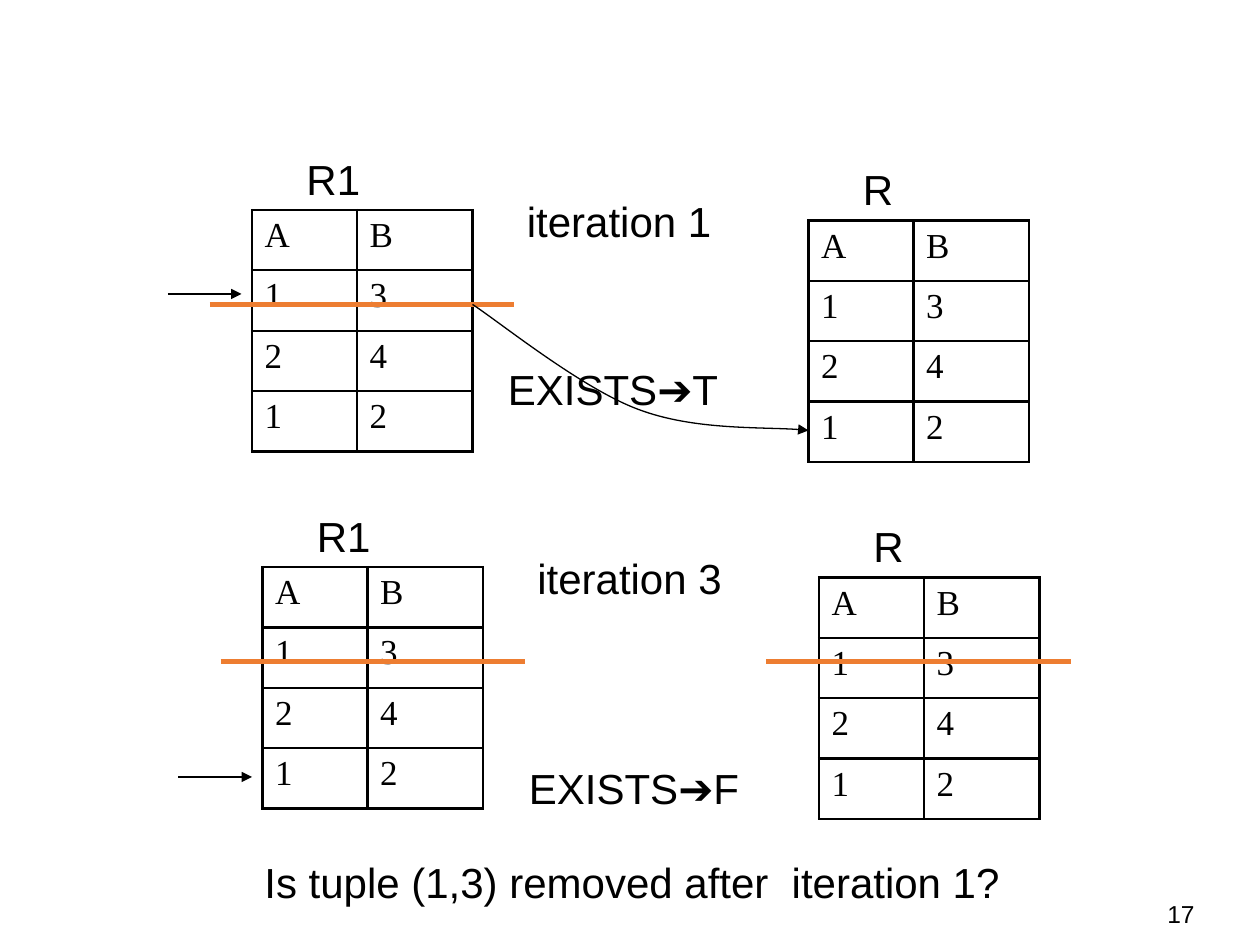
from dataclasses import dataclass
from itertools import product

from lxml.etree import SubElement as Sub
from pptx import Presentation
from pptx.dml.color import RGBColor as Rgb
from pptx.enum.shapes import MSO_CONNECTOR as Conn
from pptx.oxml.ns import qn
from pptx.util import Inches, Pt


@dataclass(frozen=True)
class Theme:
    ink: str = "000000"
    strike: str = "ED7D31"
    sans: str = "Arial"
    serif: str = "Times New Roman"
    label: int = 24
    cell: int = 20
    page: int = 14
    thin: float = 0.75
    edge: float = 1.47
    thick: float = 3


LOOK = Theme()
COLS = (10, 11)
ROW = 5.75
TUPLES = (("A", "B"), ("1", "3"), ("2", "4"), ("1", "2"))


def unit(n):
    """Turn grid units, twelve to the inch, into a length."""
    return Inches(n / 12)


def write(frame, text, size, face):
    run = frame.paragraphs[0].add_run()
    run.text = text
    font = run.font
    font.size, font.name, font.bold = Pt(size), face, False
    font.color.rgb = Rgb.from_string(LOOK.ink)


def label(slide, text, x, y, wide, high=6, size=LOOK.label, wrap=True):
    box = slide.shapes.add_textbox(*map(unit, (x, y, wide, high)))
    box.text_frame.word_wrap = wrap
    write(box.text_frame, text, size, LOOK.sans)


def border(cell):
    props = cell._tc.get_or_add_tcPr()
    for side in ("lnL", "lnR", "lnT", "lnB"):
        line = Sub(props, qn(f"a:{side}"), w=str(Pt(LOOK.edge)))
        fill = Sub(line, qn("a:solidFill"))
        Sub(fill, qn("a:srgbClr"), val=LOOK.ink)


def relation(slide, name, x, y):
    """Draw a table of the tuples with its name above it."""
    rows, cols = len(TUPLES), len(COLS)
    size = map(unit, (x, y, sum(COLS), ROW * rows))
    table = slide.shapes.add_table(rows, cols, *size).table
    table.first_row = table.horz_banding = False
    for col, wide in zip(table.columns, COLS):
        col.width = unit(wide)
    for r, c in product(range(rows), range(cols)):
        cell = table.cell(r, c)
        border(cell)
        cell.fill.background()
        write(cell.text_frame, TUPLES[r][c], LOOK.cell, LOOK.serif)
    label(slide, name, x + 4, y - 6, 10)


def stroke(shape, color, width, arrow=False):
    shape.line.color.rgb = Rgb.from_string(color)
    shape.line.width = Pt(width)
    props = shape._element.spPr
    if arrow:
        Sub(props.find(qn("a:ln")), qn("a:tailEnd"), type="triangle")
    if props.find(qn("a:effectLst")) is None:
        Sub(props, qn("a:effectLst"))


def level(slide, x, y, wide):
    ends = map(unit, (x, y, x + wide, y))
    return slide.shapes.add_connector(Conn.STRAIGHT, *ends)


def pointer(slide, x, y):
    stroke(level(slide, x, y, 7), LOOK.ink, LOOK.thin, arrow=True)


def strike(slide, x, y):
    stroke(level(slide, x, y, 29), LOOK.strike, LOOK.thick)


def curve(slide, start, *points):
    """Draw an arrow of cubic curves, each given by three points."""
    pen = slide.shapes.build_freeform(*map(unit, start))
    pen.add_line_segments([tuple(map(unit, p)) for p in points], close=False)
    shape = pen.convert_to_shape()
    trail = shape._element.find(".//" + qn("a:path"))
    steps = trail.findall(qn("a:lnTo"))
    for i in range(0, len(steps), 3):
        bend = Sub(trail, qn("a:cubicBezTo"))
        for step in steps[i:i + 3]:
            bend.append(step[0])
            trail.remove(step)
    shape.fill.background()
    stroke(shape, LOOK.ink, LOOK.thin, arrow=True)


def stage(slide, turn, x, y):
    """Draw both relations of one iteration, with R1 at x, y."""
    relation(slide, "R1", x, y)
    relation(slide, "R", x + 53, y + 1)
    label(slide, f"iteration {turn}", x + 25, y - 2, 24)
    strike(slide, x - 4, y + 9)


def main():
    deck = Presentation()
    deck.slide_width, deck.slide_height = unit(120), unit(90)
    slide = deck.slides.add_slide(deck.slide_layouts[6])

    stage(slide, 1, 24, 20)
    pointer(slide, 16, 28)
    curve(slide, (45, 29), (47.6, 30.7), (55.4, 37), (60.8, 39),
          (66.1, 41), (73.7, 40.6), (77, 41))
    label(slide, "EXISTS➔T", 47.2, 34, 23, wrap=False)

    stage(slide, 3, 25, 54)
    pointer(slide, 17, 74)
    strike(slide, 73, 63)
    label(slide, "EXISTS➔F", 49.2, 72, 23, wrap=False)

    label(slide, "Is tuple (1,3) removed after  iteration 1?", 24, 81, 75)
    label(slide, "17", 110, 85, 7, high=4, size=LOOK.page)
    deck.save("out.pptx")


if __name__ == "__main__":
    main()
